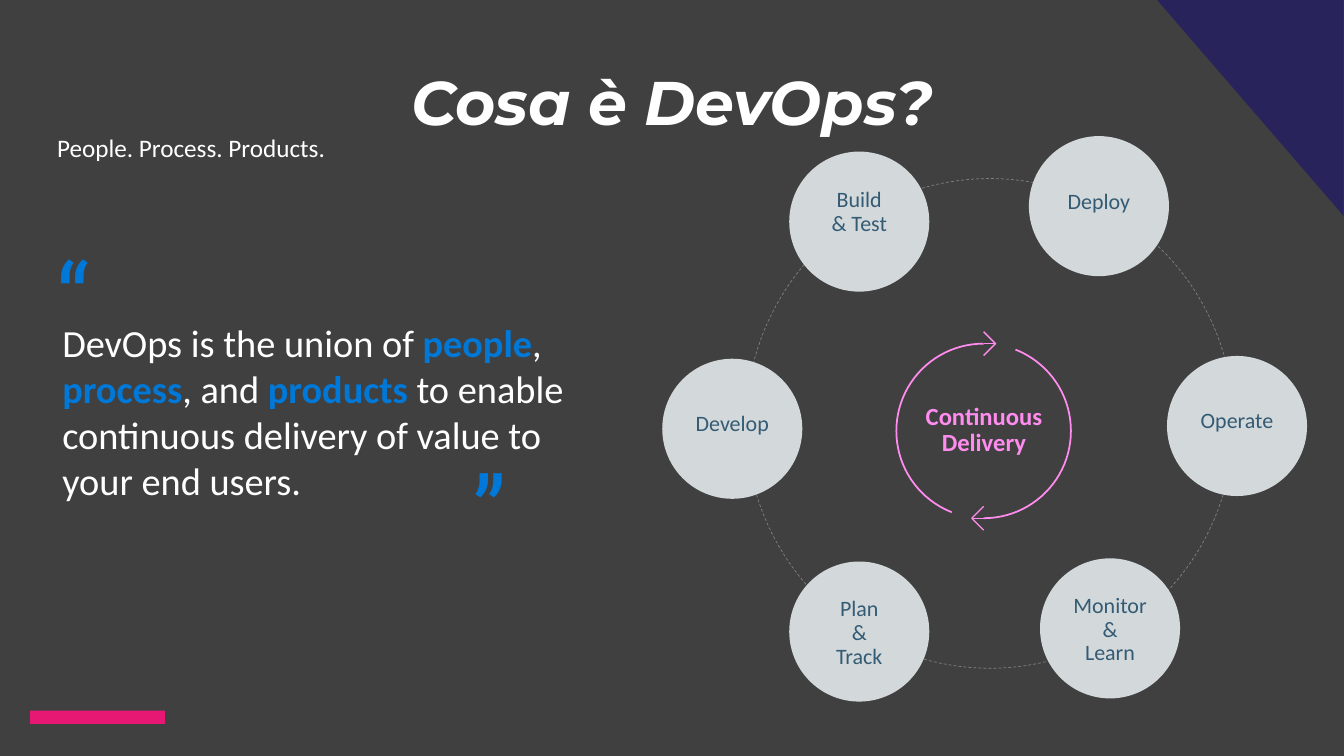
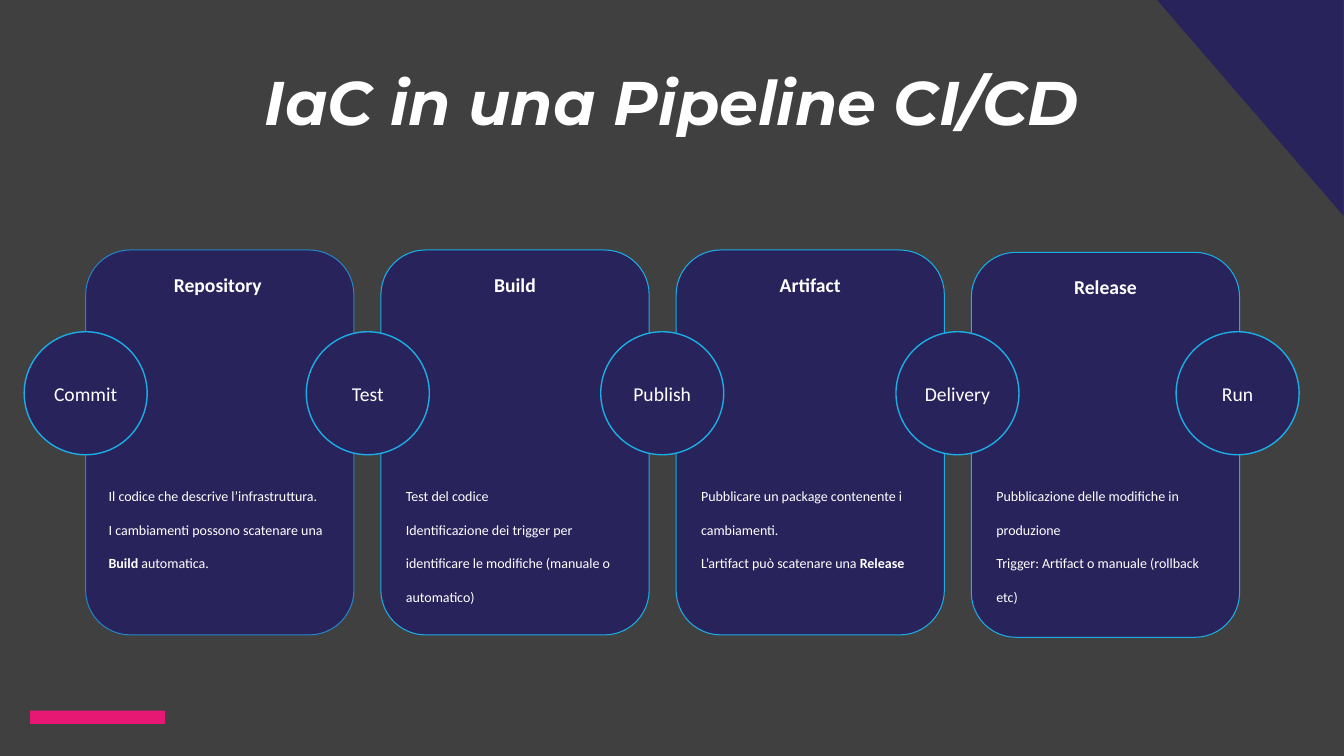
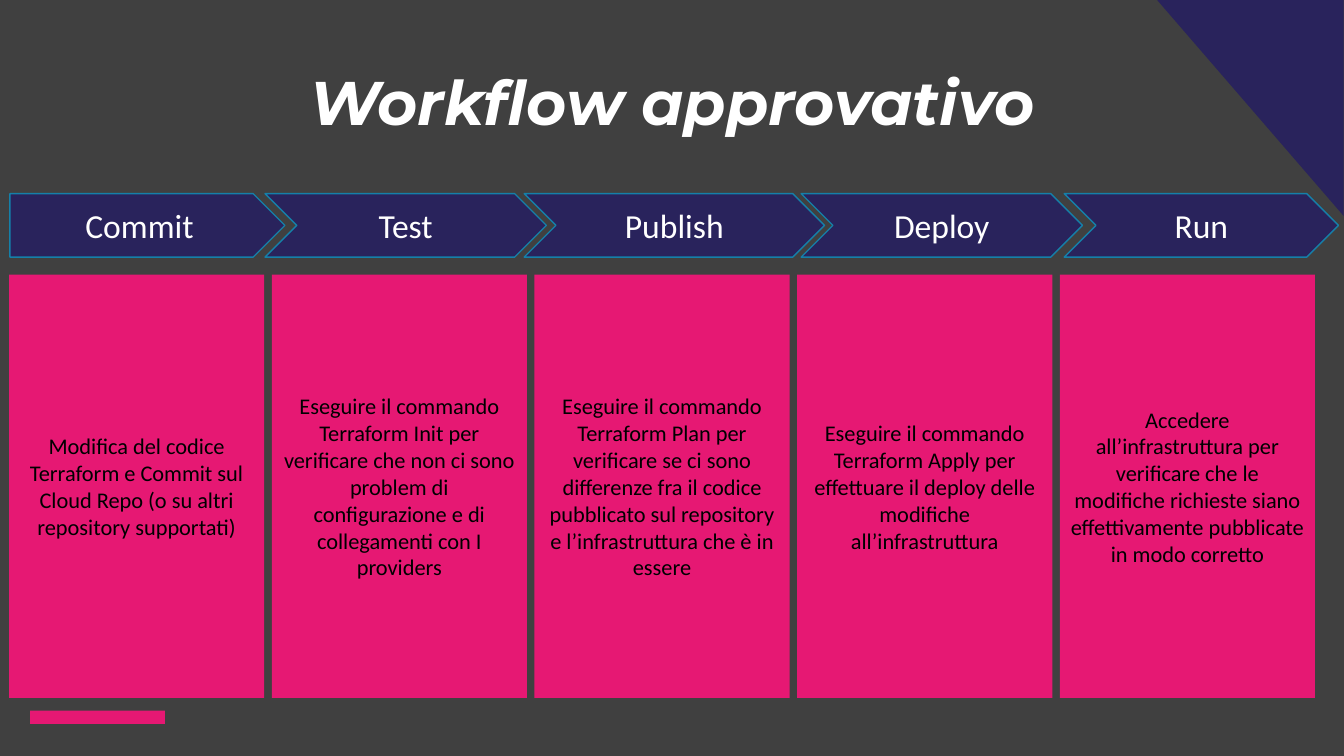
"""Build three slides on DevOps, a CI/CD pipeline and an approval workflow."""
from copy import deepcopy
from dataclasses import dataclass
from typing import NamedTuple, Optional

from lxml.etree import SubElement
from pptx import Presentation
from pptx.dml.color import RGBColor
from pptx.enum.dml import MSO_LINE
from pptx.enum.shapes import MSO_CONNECTOR, MSO_SHAPE as Preset
from pptx.enum.text import MSO_ANCHOR as Anchor, PP_ALIGN as Align
from pptx.oxml.ns import qn
from pptx.util import Cm, Pt

SLIDE_WIDTH, SLIDE_HEIGHT = 33.87, 19.05
BODY_FONT, TITLE_FONT, QUOTE_FONT = "Calibri", "Montserrat", "Roboto Slab"
WHITE, BLACK, CHARCOAL = "FFFFFF", "000000", "404040"
NAVY, MAGENTA, PINK, BLUE, CYAN = "29235C", "E61873", "FF8CEE", "0078D7", "1CADE4"
STAGE_FILL, STAGE_TEXT, RING_GREY = "D3D8DB", "335B74", "808080"
CARD_BLUE, ARROW_LINE = "2683C6", "1580A9"


class Box(NamedTuple):
    left: float
    top: float
    width: float
    height: float


@dataclass(frozen=True)
class Stage:
    text: str
    left: float
    top: float


@dataclass(frozen=True)
class Card:
    heading: str
    body: str
    top: float = 6.3
    text_indent: float = 0.38
    line: str = CYAN


@dataclass(frozen=True)
class Step:
    name: str
    left: float
    width: float
    description: str


STAGES = [
    Stage("Deploy", 25.93, 3.43),
    Stage("Operate", 29.41, 8.97),
    Stage("Monitor\v&\vLearn", 26.21, 14.07),
    Stage("Plan\v&\vTrack", 19.89, 14.15),
    Stage("Develop", 16.69, 9.04),
]
CARDS = [
    Card("Repository", "Il codice che descrive l’infrastruttura.\n"
         "I cambiamenti possono scatenare una **Build** automatica.",
         text_indent=0.33, line=CARD_BLUE),
    Card("Build", "Test del codice\nIdentificazione dei trigger per "
         "identificare le modifiche (manuale o automatico)"),
    Card("Artifact", "Pubblicare un package contenente i cambiamenti.\n"
         "L’artifact può scatenare una **Release**"),
    Card("Release", "Pubblicazione delle modifiche in produzione\n"
         "Trigger: Artifact o manuale (rollback etc)", top=6.36),
]
GATES = {"Commit": 0.61, "Test": 7.72, "Publish": 15.14, "Delivery": 22.58, "Run": 29.64}
STEPS = [
    Step("Commit", 0.25, 6.93, "Modifica del codice Terraform e Commit sul "
         "Cloud Repo (o su altri repository supportati)"),
    Step("Test", 6.68, 7.09, "Eseguire il commando Terraform Init per verificare che non ci "
         "sono problem di configurazione e di collegamenti con I providers"),
    Step("Publish", 13.21, 7.57, "Eseguire il commando Terraform Plan per verificare se ci sono "
         "differenze fra il codice pubblicato sul repository e l’infrastruttura che è in essere"),
    Step("Deploy", 20.19, 7.09, "Eseguire il commando Terraform Apply per effettuare il deploy "
         "delle modifiche all’infrastruttura"),
    Step("Run", 26.82, 6.91, "Accedere all’infrastruttura per verificare che le modifiche "
         "richieste siano effettivamente pubblicate in modo corretto"),
]


def color(value: str) -> RGBColor:
    """Turn a hex string into a colour."""
    return RGBColor.from_string(value)


def paint(shape, fill: Optional[str] = None, line: Optional[str] = None, weight: float = 1):
    """Set the fill and outline of a shape and drop its shadow."""
    shape.shadow.inherit = False
    if fill:
        shape.fill.solid()
        shape.fill.fore_color.rgb = color(fill)
    else:
        shape.fill.background()
    if line:
        shape.line.color.rgb = color(line)
        shape.line.width = Pt(weight)
    else:
        shape.line.fill.background()
    return shape


def draw(slide, preset: Preset, box: Box, **look):
    """Add a painted preset shape."""
    return paint(slide.shapes.add_shape(preset, *map(Cm, box)), **look)


def write(shape, text: str, *, size: float, font: str = BODY_FONT, ink: str = WHITE,
          bold: bool = False, italic: bool = False, accent: Optional[str] = None,
          align: Align = Align.CENTER, anchor: Anchor = Anchor.TOP,
          spacing: Optional[float] = None,
          insets: tuple = (0.25, 0.13, 0.25, 0.13)) -> None:
    """Fill a shape with text, where ** marks bold parts and \\v a line break."""
    frame = shape.text_frame
    frame.word_wrap = True
    frame.vertical_anchor = anchor
    (frame.margin_left, frame.margin_top,
     frame.margin_right, frame.margin_bottom) = map(Cm, insets)
    for index, content in enumerate(text.split("\n")):
        paragraph = frame.add_paragraph() if index else frame.paragraphs[0]
        paragraph.alignment = align
        if spacing:
            paragraph.line_spacing = spacing
        for part, segment in enumerate(content.split("**")):
            marked = part % 2 == 1
            for row, words in enumerate(segment.split("\v")):
                if row:
                    paragraph.add_line_break()
                if not words:
                    continue
                run = paragraph.add_run()
                run.text = words
                run.font.name = font
                run.font.size = Pt(size)
                run.font.bold = bold or marked
                run.font.italic = italic
                run.font.color.rgb = color(accent if marked and accent else ink)
        for line_break in paragraph._p.findall(qn("a:br")):
            line_break.append(deepcopy(paragraph.runs[0]._r.rPr))


def label(slide, box: Box, text: str, **style) -> None:
    """Add a text box."""
    write(slide.shapes.add_textbox(*map(Cm, box)), text, **style)


def add_slide(presentation, title: str):
    """Add a slide with the shared title, bar and corner."""
    slide = presentation.slides.add_slide(presentation.slide_layouts[6])
    label(slide, Box(0, 1.47, SLIDE_WIDTH, 2.13), title, size=44, font=TITLE_FONT,
          bold=True, italic=True)
    draw(slide, Preset.RECTANGLE, Box(0.76, 17.91, 3.4, 0.33), fill=MAGENTA)
    corner = draw(slide, Preset.RIGHT_TRIANGLE, Box(29.16, 0, 4.7, 5.44), fill=NAVY)
    corner.rotation = 180
    return slide


def draw_cycle(slide, center_x: float, center_y: float, radius: float) -> None:
    """Draw two half circles that chase each other with open arrowheads."""
    head = 0.3
    for direction, start, end in ((1, 291.4, 90), (-1, 111.4, 270)):
        arc = draw(slide, Preset.ARC, Box(center_x - radius, center_y - radius,
                                          2 * radius, 2 * radius), line=PINK, weight=1.25)
        arc.adjustments[0] = start * 0.6
        arc.adjustments[1] = end * 0.6
        tip_x, tip_y = center_x + direction * head, center_y - direction * radius
        builder = slide.shapes.build_freeform(Cm(center_x), Cm(tip_y + head))
        builder.add_line_segments([(Cm(tip_x), Cm(tip_y)), (Cm(center_x), Cm(tip_y - head))],
                                  close=False)
        paint(builder.convert_to_shape(), line=PINK)
        shaft = slide.shapes.add_connector(MSO_CONNECTOR.STRAIGHT, Cm(center_x), Cm(tip_y),
                                           Cm(tip_x), Cm(tip_y))
        shaft.line.color.rgb = color(PINK)
        shaft.line.width = Pt(1)
        SubElement(shaft._element.spPr, qn("a:effectLst"))


def build_devops(presentation) -> None:
    """Build the definition slide with its delivery ring."""
    slide = add_slide(presentation, "Cosa è DevOps?")
    label(slide, Box(1.19, 3.3, 31.5, 0.76), "People. Process. Products.", size=18,
          align=Align.LEFT, spacing=0.9)
    label(slide, Box(1.19, 5.92, 14.73, 10.8),
          "DevOps is the union of **people**, **process**, and **products **to enable "
          "continuous delivery of value to your end users.",
          size=27.4, accent=BLUE, align=Align.LEFT, insets=(0.38, 2.11, 0.51, 0.41))
    for mark, left, top in (("“", 1.19, 5.92), ("”", 11.68, 11.28)):
        label(slide, Box(left, top, 2.11, 2.95), mark, size=62.7, font=QUOTE_FONT, ink=BLUE,
              align=Align.LEFT)

    ring = draw(slide, Preset.OVAL, Box(18.8, 4.5, 12.29, 12.34), line=RING_GREY, weight=0.5)
    ring.line.dash_style = MSO_LINE.DASH
    label(slide, Box(22.5, 9.3, 4.6, 3.1), "Continuous\vDelivery", size=17.6, ink=PINK,
          bold=True, anchor=Anchor.MIDDLE, spacing=0.9, insets=(0, 0, 0, 0))
    draw_cycle(slide, 24.79, 10.86, 2.2)

    diameter, label_width = 3.53, 3.23
    stage_style = dict(size=15.7, ink=STAGE_TEXT, spacing=0.9, insets=(0.51, 0.41, 0.51, 0.41))
    build_stage = draw(slide, Preset.OVAL, Box(19.89, 3.82, diameter, diameter), fill=STAGE_FILL)
    write(build_stage, "Build\v& Test", **stage_style)
    for stage in STAGES:
        draw(slide, Preset.OVAL, Box(stage.left, stage.top, diameter, diameter), fill=STAGE_FILL)
        offset, height = (0.5, 2.62) if "\v" in stage.text else (1.06, 1.4)
        label(slide, Box(stage.left + (diameter - label_width) / 2, stage.top + offset,
                         label_width, height), stage.text, **stage_style)


def build_pipeline(presentation) -> None:
    """Build the pipeline slide with cards and gates."""
    slide = add_slide(presentation, "IaC in una Pipeline CI/CD")
    for index, card in enumerate(CARDS):
        left = 2.16 + index * 7.44
        text_left = left + card.text_indent
        draw(slide, Preset.ROUNDED_RECTANGLE, Box(left, card.top, 6.76, 9.7), fill=NAVY,
             line=card.line, weight=0)
        label(slide, Box(text_left, card.top + 0.44, 6, 0.86), card.heading, size=14, bold=True)
        label(slide, Box(text_left, 11.73, 6, 3.5), card.body, size=10, align=Align.LEFT,
              spacing=2)
    for name, left in GATES.items():
        gate = draw(slide, Preset.OVAL, Box(left, 8.36, 3.1, 3.1), fill=NAVY, line=CYAN)
        write(gate, name, size=14, anchor=Anchor.MIDDLE)


def build_workflow(presentation) -> None:
    """Build the approval slide with arrows above descriptions."""
    slide = add_slide(presentation, "Workflow approvativo")
    for index, step in enumerate(STEPS):
        preset = Preset.CHEVRON if index else Preset.PENTAGON
        arrow = draw(slide, preset, Box(step.left, 4.88, step.width, 1.6), fill=NAVY,
                     line=ARROW_LINE)
        write(arrow, step.name, size=24, anchor=Anchor.MIDDLE, insets=(0.33, 0.18, 0.33, 0.18))
        panel = draw(slide, Preset.RECTANGLE, Box(0.23 + index * 6.62, 6.92, 6.43, 10.67),
                     fill=MAGENTA)
        write(panel, step.description, size=16, ink=BLACK, anchor=Anchor.MIDDLE)


def main() -> None:
    """Create and save the presentation."""
    presentation = Presentation()
    presentation.slide_width, presentation.slide_height = Cm(SLIDE_WIDTH), Cm(SLIDE_HEIGHT)
    background = presentation.slide_master.background.fill
    background.solid()
    background.fore_color.rgb = color(CHARCOAL)
    build_devops(presentation)
    build_pipeline(presentation)
    build_workflow(presentation)
    presentation.save("out.pptx")


if __name__ == "__main__":
    main()
